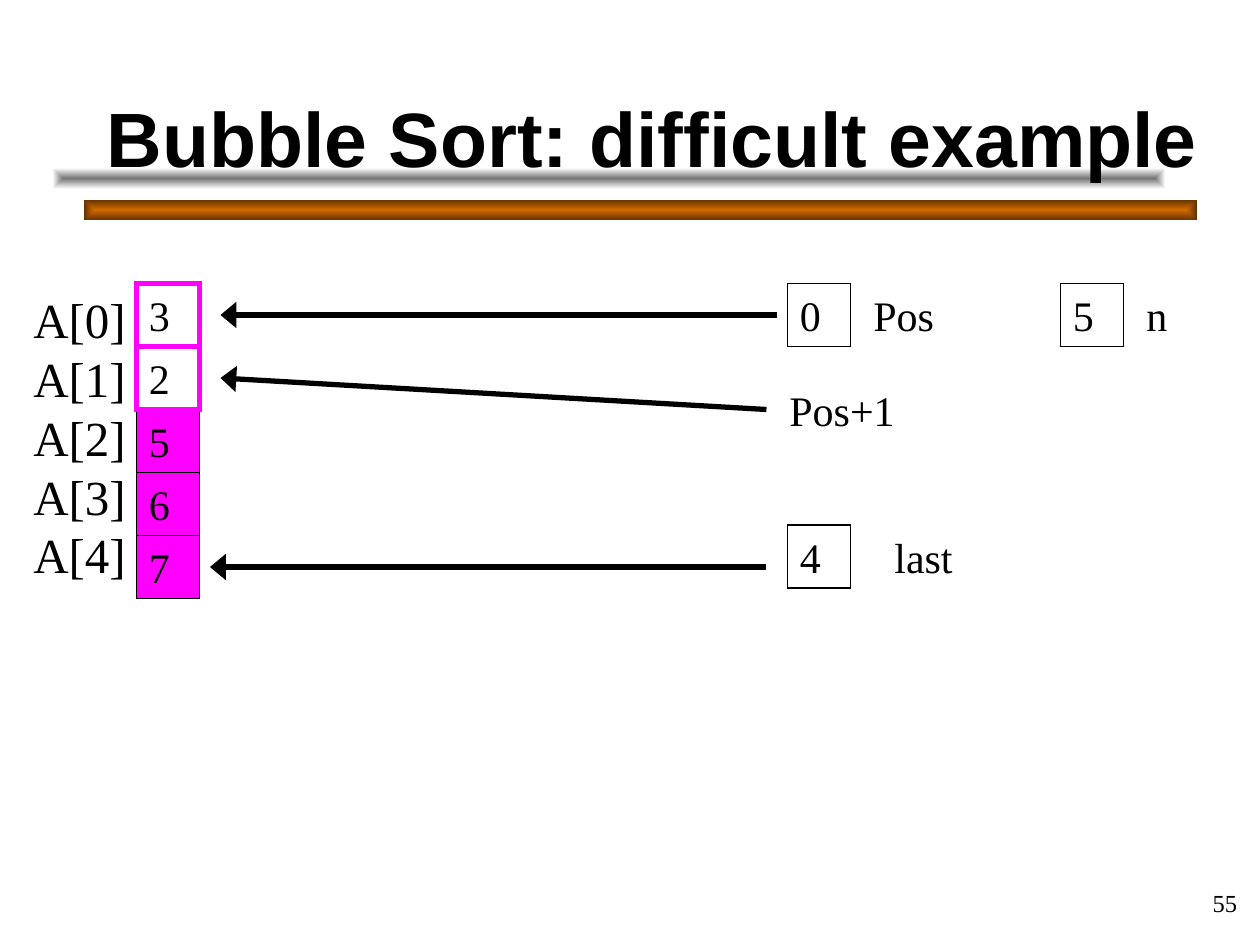
from lxml.etree import SubElement
from pptx import Presentation
from pptx.dml.color import RGBColor
from pptx.enum.shapes import MSO_CONNECTOR as Connector, MSO_SHAPE as Shape
from pptx.enum.text import MSO_ANCHOR as Anchor, PP_ALIGN as Align
from pptx.oxml.ns import qn
from pptx.util import Inches, Pt

GRID = Inches(1) // 12
BLACK, MAGENTA = "000000", "FF00FF"
CELL = 6


def color(value):
    return RGBColor.from_string(value)


def write(shape, text, size=24, font="Times New Roman", bold=False,
          align=Align.LEFT, anchor=Anchor.TOP):
    frame = shape.text_frame
    frame.word_wrap = True
    frame.vertical_anchor = anchor
    frame.text = text
    for paragraph in frame.paragraphs:
        paragraph.alignment = align
        paragraph.font.size = Pt(size)
        paragraph.font.name = font
        paragraph.font.bold = bold
        paragraph.font.color.rgb = color(BLACK)


presentation = Presentation()
presentation.slide_width = 120 * GRID
presentation.slide_height = 90 * GRID
slide = presentation.slides.add_slide(presentation.slide_layouts[6])
shapes = slide.shapes

for column, row, center, edge in [(8, 19, "D26900", "613100"), (5, 16, "767676", "FFFFFF")]:
    bar = shapes.add_shape(Shape.RECTANGLE, column * GRID, row * GRID, 106 * GRID, 2 * GRID)
    bar.shadow.inherit = False
    bar.line.fill.background()
    bar.fill.gradient()
    for stop, position, value in zip(bar.fill.gradient_stops, (0, 1), (center, edge)):
        stop.position = position
        stop.color.rgb = color(value)
    gradient = bar.element.spPr.find(qn("a:gradFill"))
    gradient.remove(gradient.find(qn("a:lin")))
    shading = SubElement(gradient, qn("a:path"), {"path": "rect"})
    SubElement(shading, qn("a:fillToRect"), dict.fromkeys("ltrb", "50000"))

title = shapes.add_textbox(9 * GRID, 3 * GRID, 108 * GRID, 15 * GRID)
write(title, "Bubble Sort: difficult example", size=44, font="Arial", bold=True,
      anchor=Anchor.BOTTOM)

array = [(13, 27 + CELL * index, value, MAGENTA if index > 1 else None, BLACK, 1)
         for index, value in enumerate("32567")]
variables = [(75, 27, "0", None, BLACK, 1), (101, 27, "5", None, BLACK, 1),
             (75, 50, "4", None, BLACK, 1)]
highlights = [(13, 27 + CELL * index, "", None, MAGENTA, 3) for index in range(2)]
for column, row, value, fill, outline, weight in array + variables + highlights:
    box = shapes.add_shape(Shape.RECTANGLE, column * GRID, row * GRID, CELL * GRID, CELL * GRID)
    box.shadow.inherit = False
    if fill:
        box.fill.solid()
        box.fill.fore_color.rgb = color(fill)
    else:
        box.fill.background()
    box.line.color.rgb = color(outline)
    box.line.width = Pt(weight)
    SubElement(box.element.spPr.find(qn("a:ln")), qn("a:miter"), {"lim": "800000"})
    if value:
        write(box, value)

indices = "\n".join(f"A[{index}]" for index in range(len(array)))
for column, row, width, height, text, size in [
    (2, 27, 12, 29, indices, 28),
    (82, 27, 9, CELL, "Pos", 24),
    (108, 27, 5, CELL, "n", 24),
    (74, 36, 13, CELL, "Pos+1", 24),
    (84, 50, 9, CELL, "last", 24),
]:
    label = shapes.add_textbox(column * GRID, row * GRID, width * GRID, height * GRID)
    write(label, text, size=size)

for start, start_row, end, end_row in [(74, 30, 21, 30), (73, 39, 21, 36), (73, 54, 20, 54)]:
    arrow = shapes.add_connector(Connector.STRAIGHT, start * GRID, start_row * GRID,
                                 end * GRID, end_row * GRID)
    arrow.line.color.rgb = color(BLACK)
    arrow.line.width = Pt(3)
    properties = arrow.element.spPr
    SubElement(properties.find(qn("a:ln")), qn("a:tailEnd"),
               {"type": "triangle", "w": "lg", "len": "med"})
    SubElement(properties, qn("a:effectLst"))

number = shapes.add_textbox(94 * GRID, 83 * GRID, 25 * GRID, CELL * GRID)
write(number, "55", size=14, align=Align.RIGHT, anchor=Anchor.MIDDLE)

presentation.save("out.pptx")
